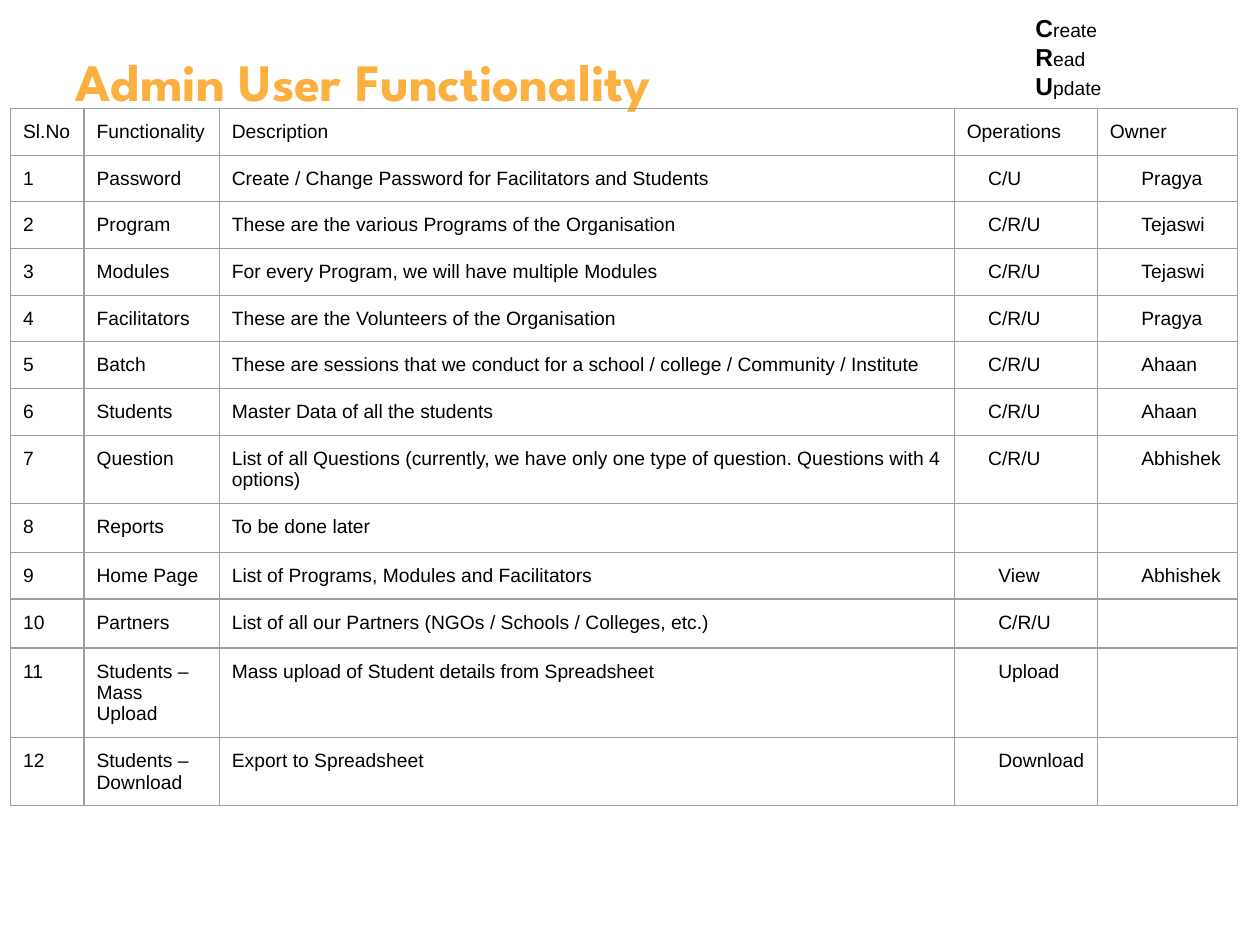
from lxml import etree
from pptx import Presentation
from pptx import util as u
from pptx.dml import color as dml
from pptx.enum import text
from pptx.oxml import ns

COLORS = {"title": "FBB040", "ink": "000000", "grid": "9E9E9E"}
BODY_SIZE = 11
LINE_HEIGHT = 12.24
CELL_MARGIN = 7.2
COLUMN_WIDTHS = [42, 77.3, 420, 81.8, 80]

SHORT_INDENT = (12.24, 0)
HANGING_INDENT = (36, -18)

HEADERS = ["Sl.No", "Functionality", "Description", "Operations", "Owner"]
FUNCTIONS = [
    ("Password", "Create / Change Password for Facilitators and Students", "C/U", "Pragya"),
    ("Program", "These are the various Programs of the Organisation", "C/R/U", "Tejaswi"),
    ("Modules", "For every Program, we will have multiple Modules", "C/R/U", "Tejaswi"),
    ("Facilitators", "These are the Volunteers of the Organisation", "C/R/U", "Pragya"),
    ("Batch", "These are sessions that we conduct for a school / college / Community / Institute",
     "C/R/U", "Ahaan"),
    ("Students", "Master Data of all the students", "C/R/U", "Ahaan"),
    ("Question", "List of all Questions (currently, we have only one type of question. "
     "Questions with 4 options)", "C/R/U", "Abhishek"),
    ("Reports", "To be done later", "", ""),
    ("Home Page", "List of Programs, Modules and Facilitators", "View", "Abhishek"),
    ("Partners", "List of all our Partners (NGOs / Schools / Colleges, etc.)", "C/R/U", ""),
    ("Students – Mass Upload", "Mass upload of Student details from Spreadsheet", "Upload", ""),
    ("Students – Download", "Export to Spreadsheet", "Download", ""),
]
ROW_LINES = {7: 2, 11: 3, 12: 2}
FIRST_HANGING_ROW = 9


def write_text(para, words, size=BODY_SIZE, bold=False, color="ink", font="Arial"):
    span = para.add_run()
    span.text = words
    span.font.size = u.Pt(size)
    span.font.bold = bold
    span.font.name = font
    span.font.color.rgb = dml.RGBColor.from_string(COLORS[color])


def place(shape, box):
    shape.left, shape.top, shape.width, shape.height = (u.Pt(side) for side in box)


def add_title(page, box):
    title = page.shapes.title
    place(title, box)
    frame = title.text_frame
    frame.auto_size = text.MSO_AUTO_SIZE.NONE
    frame.vertical_anchor = text.MSO_ANCHOR.MIDDLE
    para = frame.paragraphs[0]
    para.alignment = text.PP_ALIGN.LEFT
    write_text(para, "Admin User Functionality", size=30, bold=True,
               color="title", font="League Spartan")


def add_legend(page, box):
    frame = page.shapes.add_textbox(*(u.Pt(side) for side in box)).text_frame
    frame.word_wrap = False
    frame.auto_size = text.MSO_AUTO_SIZE.SHAPE_TO_FIT_TEXT
    for index, word in enumerate(["Create", "Read", "Update"]):
        para = frame.add_paragraph() if index else frame.paragraphs[0]
        write_text(para, word[0], size=14, bold=True)
        write_text(para, word[1:])


def draw_borders(cell):
    properties = cell._tc.get_or_add_tcPr()
    for side in ("a:lnL", "a:lnR", "a:lnT", "a:lnB"):
        line = etree.SubElement(properties, ns.qn(side), w=str(u.Pt(0.75)))
        fill = etree.SubElement(line, ns.qn("a:solidFill"))
        etree.SubElement(fill, ns.qn("a:srgbClr"), val=COLORS["grid"])


def fill_cell(cell, words, indent=None):
    draw_borders(cell)
    cell.fill.background()
    cell.margin_left = cell.margin_right = u.Pt(CELL_MARGIN)
    cell.margin_top = cell.margin_bottom = u.Pt(CELL_MARGIN)
    para = cell.text_frame.paragraphs[0]
    if not words:
        etree.SubElement(para._p, ns.qn("a:endParaRPr"), sz=str(BODY_SIZE * 100))
        return
    if indent:
        properties = para._p.get_or_add_pPr()
        properties.set("marL", str(u.Pt(indent[0])))
        properties.set("indent", str(u.Pt(indent[1])))
    write_text(para, words)


def cell_indent(row, column):
    if row == 0 or column < 3:
        return None
    if column == 3 and row < FIRST_HANGING_ROW:
        return SHORT_INDENT
    return HANGING_INDENT


def add_function_table(page, left, top):
    rows = [HEADERS] + [(str(number), *entry) for number, entry in enumerate(FUNCTIONS, 1)]
    heights = [2 * CELL_MARGIN + LINE_HEIGHT * ROW_LINES.get(row, 1) for row in range(len(rows))]
    box = (left, top, sum(COLUMN_WIDTHS), sum(heights))
    table = page.shapes.add_table(len(rows), len(HEADERS), *(u.Pt(side) for side in box)).table
    table.first_row = table.horz_banding = False
    for column, width in zip(table.columns, COLUMN_WIDTHS):
        column.width = u.Pt(width)
    for row, entries in enumerate(rows):
        table.rows[row].height = u.Pt(heights[row])
        for column, words in enumerate(entries):
            fill_cell(table.cell(row, column), words, cell_indent(row, column))


def main():
    deck = Presentation()
    deck.slide_width, deck.slide_height = u.Pt(720), u.Pt(540)
    page = deck.slides.add_slide(deck.slide_layouts[5])
    add_title(page, (36, 21, 648, 50))
    add_function_table(page, 6, 62)
    add_legend(page, (584.6, 3.6, 52.6, 58.3))
    deck.save("out.pptx")


if __name__ == "__main__":
    main()
